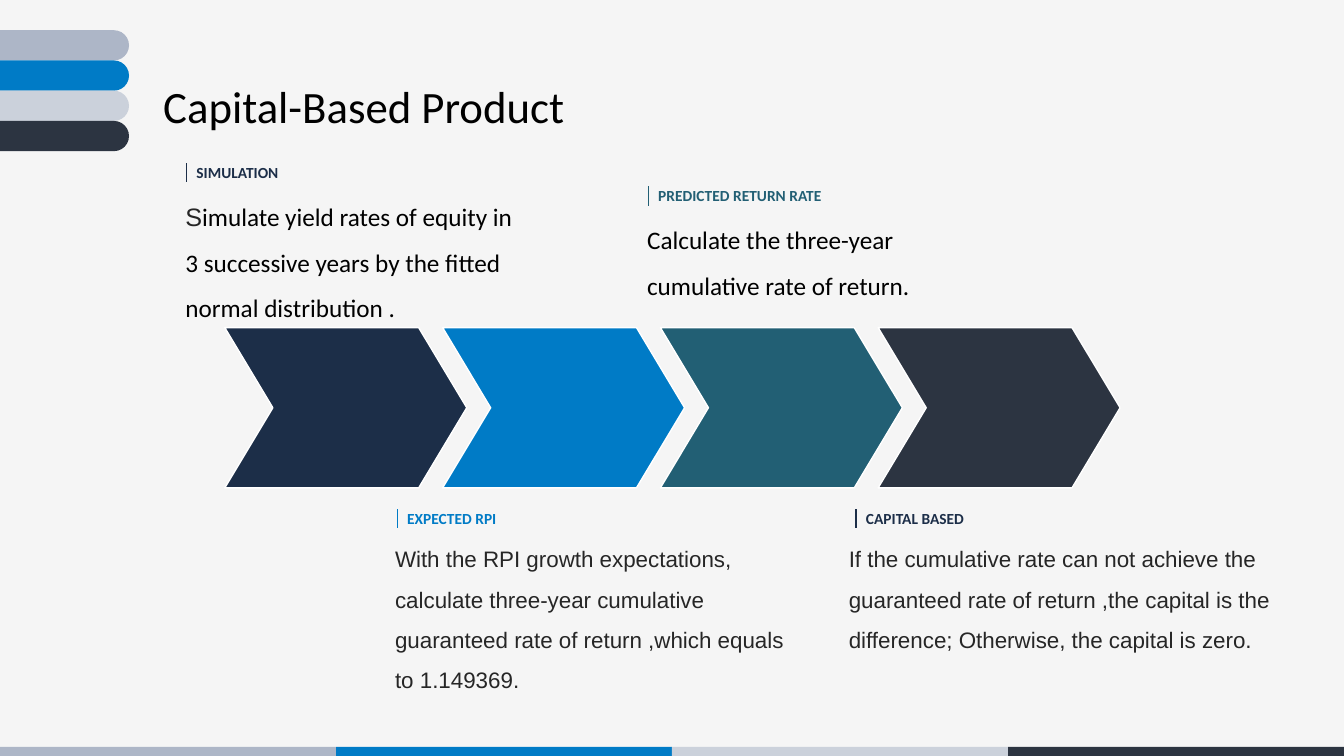
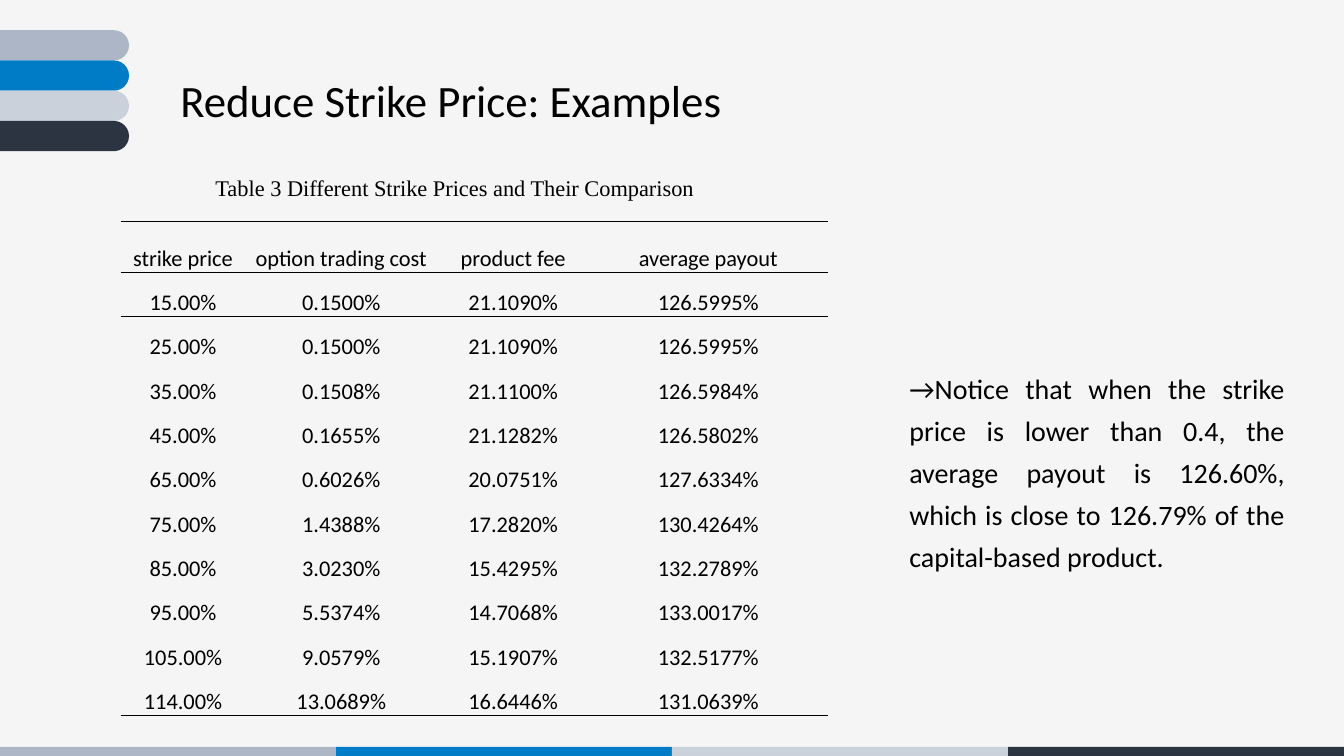
import pptx
import pptx.dml.color
import pptx.enum.shapes
import pptx.enum.text
import pptx.oxml
import pptx.oxml.ns
import pptx.util

Inches, Pt = pptx.util.Inches, pptx.util.Pt
RGBColor = pptx.dml.color.RGBColor
SHAPE = pptx.enum.shapes.MSO_SHAPE
ALIGN = pptx.enum.text.PP_ALIGN

# Shared style
PAPER = RGBColor(0xF5, 0xF5, 0xF5)
WHITE = RGBColor(0xFF, 0xFF, 0xFF)
BLACK = RGBColor(0x00, 0x00, 0x00)
GRAY = RGBColor(0x26, 0x26, 0x26)
MIST = RGBColor(0xAD, 0xB6, 0xC7)
BLUE = RGBColor(0x00, 0x7B, 0xC6)
PALE = RGBColor(0xCB, 0xD1, 0xDB)
SLATE = RGBColor(0x2C, 0x34, 0x41)
NAVY = RGBColor(0x1C, 0x2E, 0x48)
TEAL = RGBColor(0x22, 0x5F, 0x74)
BAND_COLORS = (MIST, BLUE, PALE, SLATE)
SANS, BODY, SERIF = "Calibri", "Arial", "Times New Roman"
WIDTH, HEIGHT = 13.33, 7.5
NO_TABLE_STYLE = "{2D5ABB26-0587-4C30-8999-92F81FD0307C}"

# Content of the process slide; spans are (text, font, size, color)
PROCESS_TITLE = ("Capital-Based Product", 1.52, 0.73, 4.33)
ARROW_COLORS = (NAVY, BLUE, TEAL, SLATE)
STEPS = [
    {"label": "SIMULATION", "color": NAVY, "at": (1.85, 1.57), "label_width": 1.03,
     "body_left": 1.74, "body_size": (3.46, 1.42),
     "spans": [("S", BODY, 18, GRAY),
               ("imulate yield rates of equity in 3 successive years by the "
                "fitted normal distribution .", SANS, 18, BLACK)]},
    {"label": "EXPECTED RPI", "color": BLUE, "at": (3.94, 5), "label_width": 1.13,
     "body_left": 3.82, "body_size": (4.13, 2.07),
     "spans": [("With the RPI growth expectations, calculate three-year cumulative "
                "guaranteed rate of return ,which equals to 1.149369.",
                BODY, 16, GRAY)]},
    {"label": "PREDICTED RETURN RATE", "color": TEAL, "at": (6.43, 1.8), "label_width": 1.85,
     "body_left": 6.32, "body_size": (3.33, 0.96),
     "spans": [("Calculate the three-year cumulative rate of return.",
                SANS, 18, BLACK)]},
    {"label": "CAPITAL BASED", "color": NAVY, "at": (8.49, 5), "label_width": 1.19,
     "body_left": 8.32, "body_size": (4.97, 1.26),
     "spans": [("If the cumulative rate can not achieve the guaranteed rate of return "
                ",the capital is the difference; Otherwise, the capital is zero.",
                BODY, 16, GRAY)]},
]

# Content of the table slide
TABLE_TITLE = ("Reduce Strike Price: Examples", 1.69, 0.67, 5.62)
CAPTION = "Table 3 Different Strike Prices and Their Comparison"
COLUMN_WIDTHS = (1.23, 1.91, 1.5, 2.37)
HEADER_HEIGHT, ROW_HEIGHT = 0.5, 0.44
ROWS = [
    ("strike price", "option trading cost", "product fee", "average payout"),
    ("15.00%", "0.1500%", "21.1090%", "126.5995%"),
    ("25.00%", "0.1500%", "21.1090%", "126.5995%"),
    ("35.00%", "0.1508%", "21.1100%", "126.5984%"),
    ("45.00%", "0.1655%", "21.1282%", "126.5802%"),
    ("65.00%", "0.6026%", "20.0751%", "127.6334%"),
    ("75.00%", "1.4388%", "17.2820%", "130.4264%"),
    ("85.00%", "3.0230%", "15.4295%", "132.2789%"),
    ("95.00%", "5.5374%", "14.7068%", "133.0017%"),
    ("105.00%", "9.0579%", "15.1907%", "132.5177%"),
    ("114.00%", "13.0689%", "16.6446%", "131.0639%"),
]
REMARK = ("→Notice that when the strike price is lower than 0.4, the average payout is "
          "126.60%, which is close to 126.79% of the capital-based product.")


def style_font(font, name, size, color, bold=False):
    font.name, font.size, font.bold = name, Pt(size), bold
    font.color.rgb = color


def add_text(page, spans, left, top, width, height, wrap=True, bold=False,
             align=ALIGN.LEFT, spacing=1.0):
    box = page.shapes.add_textbox(Inches(left), Inches(top), Inches(width), Inches(height))
    frame = box.text_frame
    frame.word_wrap = wrap
    frame.auto_size = pptx.enum.text.MSO_AUTO_SIZE.SHAPE_TO_FIT_TEXT
    para = frame.paragraphs[0]
    para.alignment, para.line_spacing = align, spacing
    for text, name, size, color in spans:
        span = para.add_run()
        span.text = text
        style_font(span.font, name, size, color, bold)


def add_block(page, kind, left, top, width, height, fill, outline=None):
    block = page.shapes.add_shape(kind, Inches(left), Inches(top), Inches(width), Inches(height))
    block.shadow.inherit = False
    block.fill.solid()
    block.fill.fore_color.rgb = fill
    if outline is None:
        block.line.fill.background()
    else:
        block.line.color.rgb = outline
        block.line.width = Pt(1)
    return block


def add_page(deck, title):
    """Blank page with the footer band, the corner tabs and a title."""
    page = deck.slides.add_slide(deck.slide_layouts[6])
    band_width = WIDTH / len(BAND_COLORS)
    for index, color in enumerate(BAND_COLORS):
        add_block(page, SHAPE.RECTANGLE, index * band_width, 7.41, band_width, 0.09, color)
    for index, color in enumerate(BAND_COLORS):
        tab = add_block(page, SHAPE.ROUNDED_RECTANGLE, -0.62, 0.3 * (index + 1), 1.9, 0.3, color)
        tab.adjustments[0] = 0.5
    text, left, top, width = title
    add_text(page, [(text, SANS, 32, BLACK)], left, top, width, 0.64, wrap=False)
    return page


def add_step(page, step):
    left, top = step["at"]
    add_text(page, step["spans"], step["body_left"], top + 0.23, *step["body_size"], spacing=1.5)
    add_text(page, [(step["label"], SANS, 11, step["color"])], left, top,
             step["label_width"], 0.29, wrap=False, bold=True)
    tick = page.shapes.add_connector(
        pptx.enum.shapes.MSO_CONNECTOR.STRAIGHT,
        Inches(left), Inches(top + 0.05), Inches(left), Inches(top + 0.24))
    tick.line.color.rgb = step["color"]
    tick.line.width = Pt(0.75)
    tick._element.spPr.append(pptx.oxml.parse_xml(
        f"<a:effectLst {pptx.oxml.ns.nsdecls('a')}/>"))


def add_border(cell, side):
    """Draw a thin black rule on one side: T or B."""
    rule = pptx.oxml.parse_xml(
        f'<a:ln{side} {pptx.oxml.ns.nsdecls("a")} w="12700"><a:solidFill>'
        f'<a:srgbClr val="{BLACK}"/></a:solidFill></a:ln{side}>')
    properties = cell._tc.get_or_add_tcPr()
    properties.insert(len(properties) - 1, rule)


def add_price_table(page):
    height = HEADER_HEIGHT + ROW_HEIGHT * (len(ROWS) - 1)
    table = page.shapes.add_table(
        len(ROWS), len(COLUMN_WIDTHS), Inches(1.2), Inches(2.2),
        Inches(sum(COLUMN_WIDTHS)), Inches(height)).table
    table._tbl.tblPr.find(pptx.oxml.ns.qn("a:tableStyleId")).text = NO_TABLE_STYLE
    table.first_row = table.horz_banding = False
    for column, width in zip(table.columns, COLUMN_WIDTHS):
        column.width = Inches(width)
    for row_index, values in enumerate(ROWS):
        table.rows[row_index].height = Inches(ROW_HEIGHT if row_index else HEADER_HEIGHT)
        for column_index, value in enumerate(values):
            cell = table.cell(row_index, column_index)
            cell.margin_left = cell.margin_right = Inches(0.07)
            cell.margin_top = cell.margin_bottom = 0
            cell.vertical_anchor = pptx.enum.text.MSO_ANCHOR.BOTTOM
            cell.fill.background()
            cell.text_frame.text = value
            para = cell.text_frame.paragraphs[0]
            para.alignment = ALIGN.CENTER
            style_font(para.runs[0].font, SANS, 16, BLACK)
            if row_index in (0, 1):
                add_border(cell, "T")
            if row_index in (0, len(ROWS) - 1):
                add_border(cell, "B")


def main():
    deck = pptx.Presentation()
    deck.slide_width, deck.slide_height = Inches(WIDTH), Inches(HEIGHT)
    background = deck.slide_master.background.fill
    background.solid()
    background.fore_color.rgb = PAPER

    # Process slide: arrows at an equal pitch, with a step for each
    page = add_page(deck, PROCESS_TITLE)
    for index, color in enumerate(ARROW_COLORS):
        arrow = add_block(page, SHAPE.CHEVRON, 2.23 + 2.16 * index, 3.25, 2.4, 1.59, color, WHITE)
        arrow.adjustments[0] = 0.3
    for step in STEPS:
        add_step(page, step)

    # Table slide
    page = add_page(deck, TABLE_TITLE)
    add_text(page, [(CAPTION, SERIF, 16, BLACK)], 0.7, 1.68, 7.62, 0.37, align=ALIGN.CENTER)
    add_price_table(page)
    add_text(page, [(REMARK, SANS, 20, BLACK)], 8.92, 3.55, 3.92, 2.17,
             align=ALIGN.JUSTIFY, spacing=1.25)

    deck.save("out.pptx")


if __name__ == "__main__":
    main()
